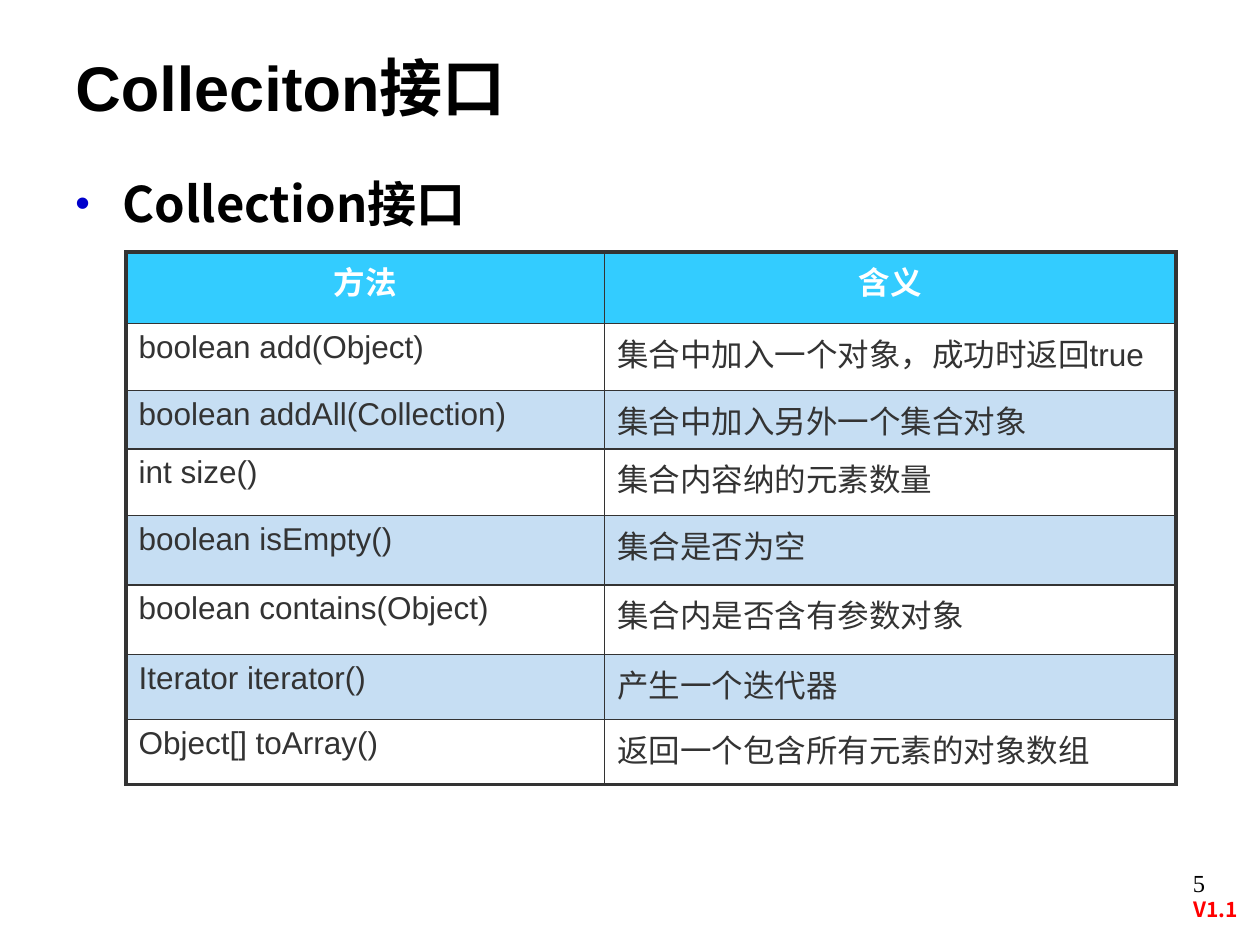
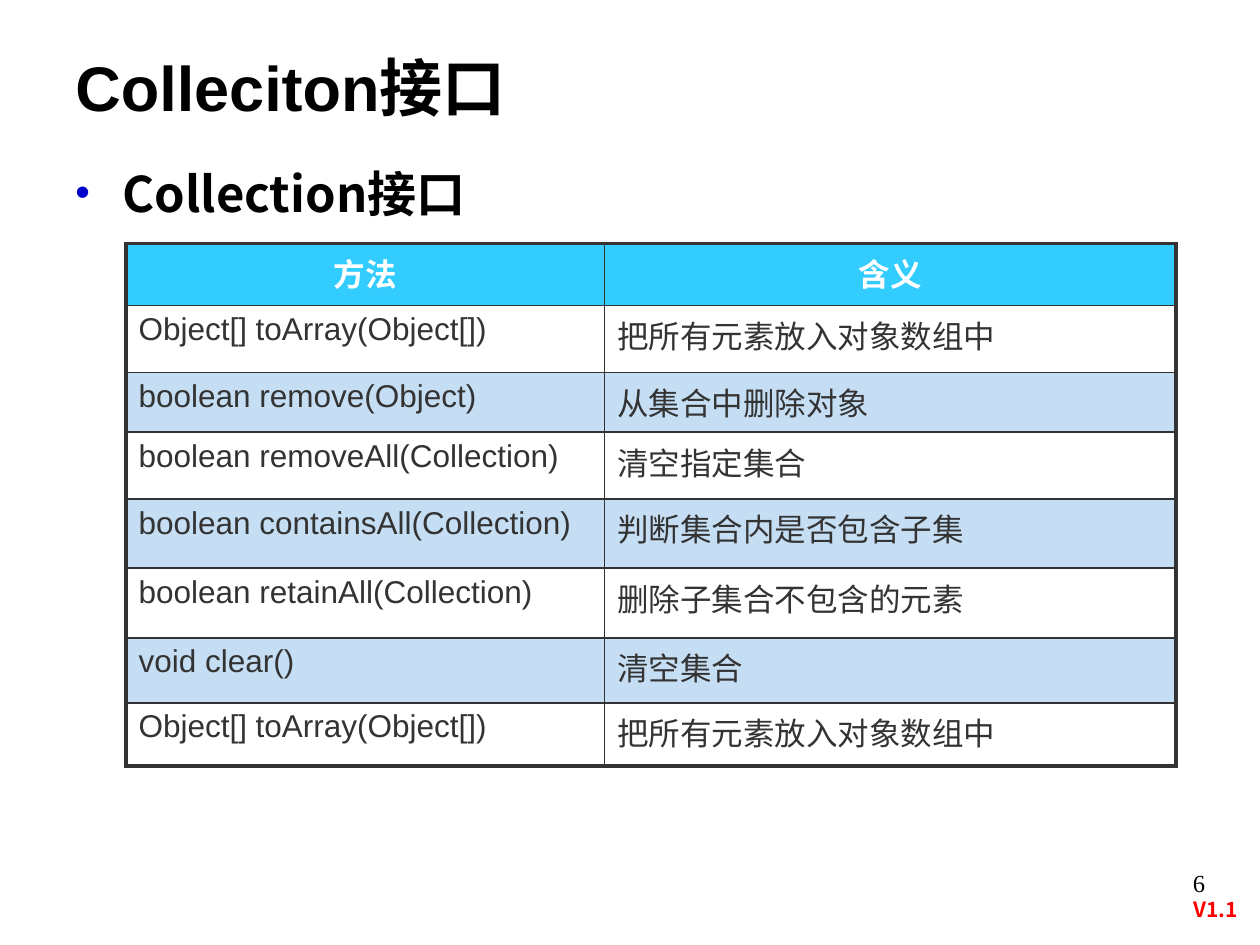
from lxml.etree import SubElement
from pptx import Presentation
from pptx.dml.color import RGBColor
from pptx.enum.text import MSO_ANCHOR, PP_ALIGN
from pptx.oxml.ns import qn
from pptx.util import Pt

BLACK, WHITE, RED, BLUE = "000000", "FFFFFF", "FF0000", "0000CC"
INK, HEADER, BAND = "333333", "33CCFF", "C6DEF3"
LATIN, CJK, SERIF = "Arial", "Noto Sans CJK SC", "Times New Roman"
THIN, THICK = 1, 2.25
COLUMN_WIDTHS = (273.5, 326.5)
HEADINGS = ("方法", "含义")

# Each slide: body top, table top, row heights, method rows
SLIDES = [
    (95.75, 144, (41, 38.25, 33.25, 38.25, 39.5, 39.75, 37.25, 37.25), [
        ("boolean add(Object)", "集合中加入一个对象，成功时返回true"),
        ("boolean addAll(Collection)", "集合中加入另外一个集合对象"),
        ("int size()", "集合内容纳的元素数量"),
        ("boolean isEmpty()", "集合是否为空"),
        ("boolean contains(Object)", "集合内是否含有参数对象"),
        ("Iterator iterator()", "产生一个迭代器"),
        ("Object[] toArray()", "返回一个包含所有元素的对象数组"),
    ]),
    (89.75, 139, (35.5, 38.25, 34.25, 38.25, 39.5, 39.75, 37.25, 36), [
        ("Object[] toArray(Object[])", "把所有元素放入对象数组中"),
        ("boolean remove(Object)", "从集合中删除对象"),
        ("boolean removeAll(Collection)", "清空指定集合"),
        ("boolean containsAll(Collection)", "判断集合内是否包含子集"),
        ("boolean retainAll(Collection)", "删除子集合不包含的元素"),
        ("void clear()", "清空集合"),
        ("Object[] toArray(Object[])", "把所有元素放入对象数组中"),
    ]),
]


def rgb(color):
    return RGBColor.from_string(color)


def add_run(p, text, size, font, color, bold=False):
    r = p.add_run()
    r.text = text
    r.font.size = Pt(size)
    r.font.name = font
    r.font.bold = bold
    r.font.color.rgb = rgb(color)
    SubElement(r.font._element, qn("a:ea"), typeface=CJK)


def add_text(s, x, y, w, h, anchor=MSO_ANCHOR.TOP):
    """Add an empty wrapping text box and return its first paragraph."""
    tf = s.shapes.add_textbox(Pt(x), Pt(y), Pt(w), Pt(h)).text_frame
    tf.word_wrap = True
    tf.vertical_anchor = anchor
    return tf.paragraphs[0]


def add_title(s, x, y, w, h):
    p = add_text(s, x, y, w, h, MSO_ANCHOR.MIDDLE)
    add_run(p, "Colleciton", 36, LATIN, BLACK, True)
    add_run(p, "接口", 36, CJK, BLACK, True)


def add_bullet(s, x, y, w, h):
    p = add_text(s, x, y, w, h)
    pPr = p._p.get_or_add_pPr()
    pPr.set("marL", str(Pt(27)))
    pPr.set("indent", str(Pt(-27)))
    SubElement(SubElement(pPr, qn("a:buClr")), qn("a:srgbClr"), val=BLUE)
    SubElement(pPr, qn("a:buSzPct"), val="85000")
    SubElement(pPr, qn("a:buFont"), typeface=LATIN)
    SubElement(pPr, qn("a:buChar"), char="•")
    add_run(p, "Collection接口", 28, CJK, BLACK, True)


def add_footer(s, x, y, number):
    add_run(add_text(s, x + 8.5, y, 45.5, 24), str(number), 14, SERIF, BLACK)
    p = add_text(s, x, y + 16.5, 57, 22)
    p.alignment = PP_ALIGN.CENTER
    add_run(p, "V1.1", 12, CJK, RED, True)


def set_borders(cell, widths):
    """Draw the left, right, top and bottom borders, in that order."""
    tcPr = cell._tc.get_or_add_tcPr()
    for side, width in zip("LRTB", widths):
        ln = SubElement(tcPr, qn(f"a:ln{side}"), w=str(Pt(width)))
        SubElement(SubElement(ln, qn("a:solidFill")), qn("a:srgbClr"), val=INK)


def add_methods(s, x, y, heights, methods):
    rows = [HEADINGS, *methods]
    last_row, last_col = len(rows) - 1, len(HEADINGS) - 1
    table = s.shapes.add_table(len(rows), len(HEADINGS), Pt(x), Pt(y),
                               Pt(sum(COLUMN_WIDTHS)), Pt(sum(heights))).table
    for column, width in zip(table.columns, COLUMN_WIDTHS):
        column.width = Pt(width)
    for i, (texts, height) in enumerate(zip(rows, heights)):
        table.rows[i].height = Pt(height)
        head = i == 0
        fill = HEADER if head else WHITE if i % 2 else BAND
        for j, text in enumerate(texts):
            cell = table.cell(i, j)
            outer = (j == 0, j == last_col, head, i == last_row)
            set_borders(cell, [THICK if edge else THIN for edge in outer])
            cell.fill.solid()
            cell.fill.fore_color.rgb = rgb(fill)
            p = cell.text_frame.paragraphs[0]
            p.alignment = PP_ALIGN.CENTER if head else PP_ALIGN.LEFT
            add_run(p, text, 18, LATIN, WHITE if head else INK, head)


def add_method_slide(prs, number, body_top, table_top, heights, methods):
    s = prs.slides.add_slide(prs.slide_layouts[6])
    add_footer(s, 666, 492.5, number)
    add_title(s, 36, 21.5, 574, 55.5)
    add_bullet(s, 36, body_top, 456, 345.5)
    add_methods(s, 72, table_top, heights, methods)


def main():
    prs = Presentation()
    prs.slide_width, prs.slide_height = Pt(720), Pt(540)
    for number, content in enumerate(SLIDES, start=5):
        add_method_slide(prs, number, *content)
    prs.save("out.pptx")


if __name__ == "__main__":
    main()
